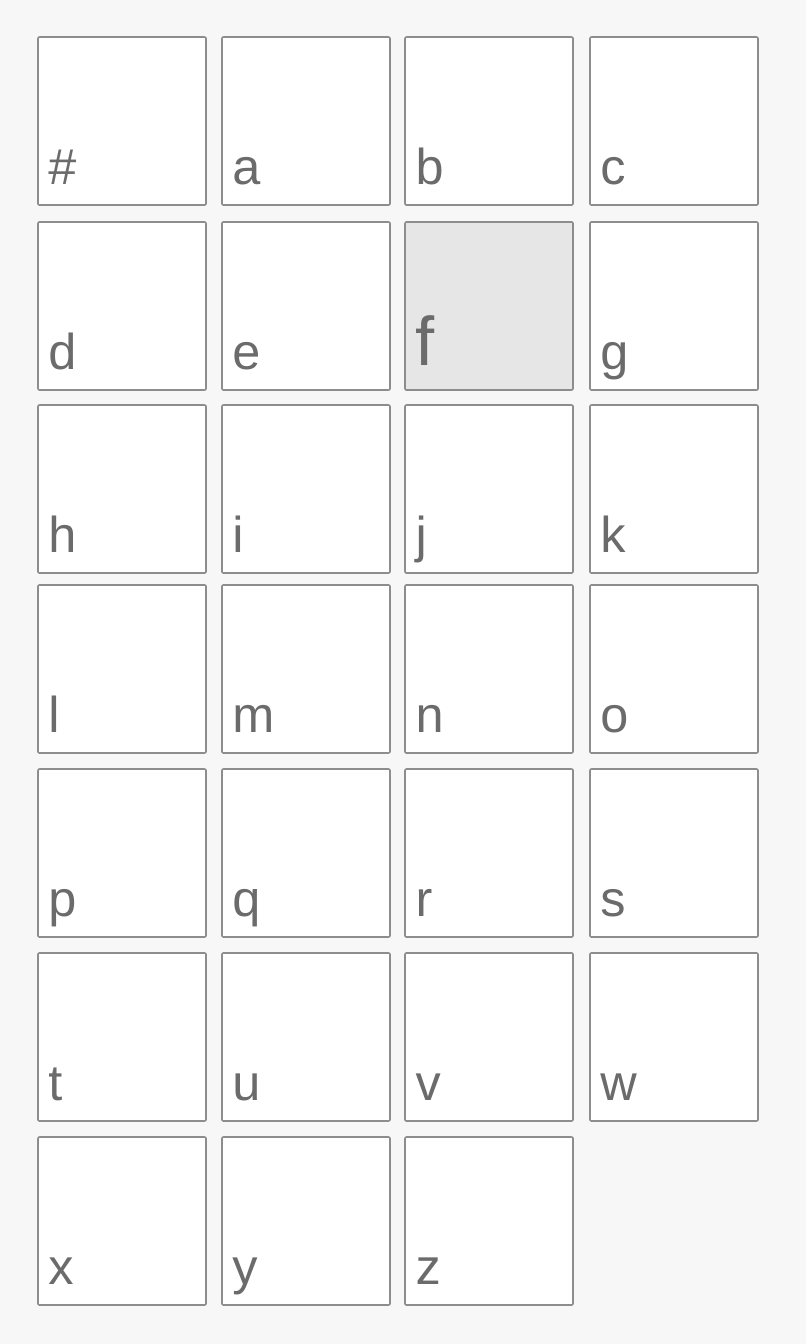
import pptx
import pptx.util
import pptx.dml.color
import pptx.enum.shapes
import pptx.enum.text

KEYS = "#abcdefghijklmnopqrstuvwxyz"
SELECTED = "f"
COLORS = {"background": "F7F7F7", "tile": "FFFFFF", "selected": "E6E6E6",
          "border": "8D8D8D", "text": "6B6B6B"}

# Lengths in px
SCALE = pptx.util.Inches(1) / 121
SLIDE_WIDTH, SLIDE_HEIGHT = 806, 1344
COLUMN_LEFTS = [38, 222, 405, 590]
ROW_TOPS = [37, 222, 405, 585, 769, 953, 1137]
TILE_SIZE = 168
TILE_INSET = 10


def emu(px):
    return pptx.util.Emu(round(px * SCALE))


def rgb(name):
    return pptx.dml.color.RGBColor.from_string(COLORS[name])


def write_text(shape, text, size=30, color="text", font="Arial"):
    frame = shape.text_frame
    frame.word_wrap = True
    frame.vertical_anchor = pptx.enum.text.MSO_ANCHOR.BOTTOM
    frame.margin_left = frame.margin_right = emu(TILE_INSET)
    frame.margin_top = frame.margin_bottom = emu(TILE_INSET)
    paragraph = frame.paragraphs[0]
    paragraph.alignment = pptx.enum.text.PP_ALIGN.LEFT
    run = paragraph.add_run()
    run.text = text
    run.font.name = font
    run.font.size = pptx.util.Pt(size)
    run.font.color.rgb = rgb(color)


def add_tile(slide, left, top, fill):
    shape = slide.shapes.add_shape(
        pptx.enum.shapes.MSO_SHAPE.ROUNDED_RECTANGLE,
        emu(left), emu(top), emu(TILE_SIZE), emu(TILE_SIZE))
    shape.adjustments[0] = 0.01
    shape.shadow.inherit = False
    shape.fill.solid()
    shape.fill.fore_color.rgb = rgb(fill)
    shape.line.color.rgb = rgb("border")
    shape.line.width = pptx.util.Pt(1)
    return shape


def main():
    presentation = pptx.Presentation()
    presentation.slide_width = emu(SLIDE_WIDTH)
    presentation.slide_height = emu(SLIDE_HEIGHT)
    slide = presentation.slides.add_slide(presentation.slide_layouts[6])
    slide.background.fill.solid()
    slide.background.fill.fore_color.rgb = rgb("background")

    for index, key in enumerate(KEYS):
        row, column = divmod(index, len(COLUMN_LEFTS))
        selected = key == SELECTED
        tile = add_tile(slide, COLUMN_LEFTS[column], ROW_TOPS[row],
                        "selected" if selected else "tile")
        write_text(tile, key, size=41 if selected else 30)

    presentation.save("out.pptx")


if __name__ == "__main__":
    main()
